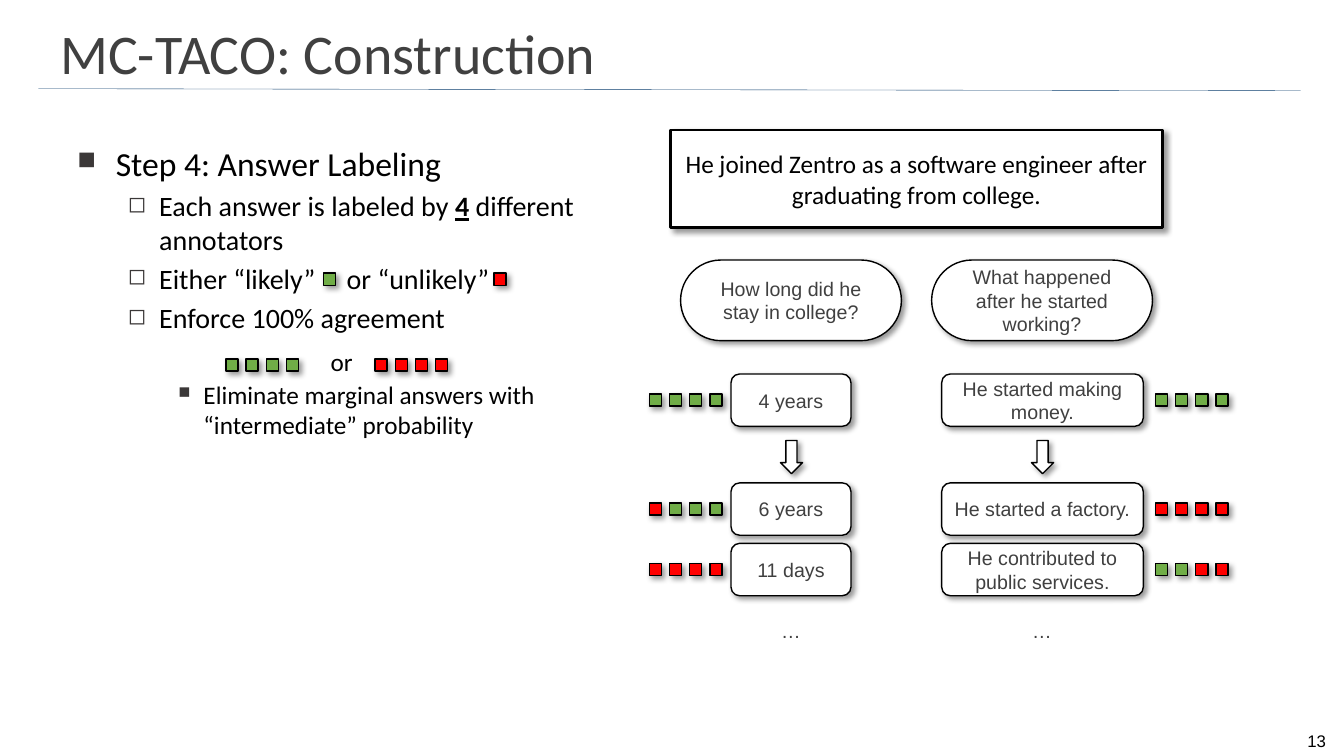
from dataclasses import dataclass

from lxml import etree
from pptx import Presentation
from pptx.dml.color import RGBColor
from pptx.enum.shapes import MSO_CONNECTOR, MSO_SHAPE
from pptx.enum.text import MSO_ANCHOR, PP_ALIGN
from pptx.oxml.ns import qn
from pptx.shapes.autoshape import Shape
from pptx.slide import Slide
from pptx.text.text import TextFrame
from pptx.util import Emu, Pt

STRAIGHT = MSO_CONNECTOR.STRAIGHT
RECT, ROUNDED = MSO_SHAPE.RECTANGLE, MSO_SHAPE.ROUNDED_RECTANGLE
DOWN_ARROW = MSO_SHAPE.DOWN_ARROW
TOP, MIDDLE, BOTTOM = MSO_ANCHOR.TOP, MSO_ANCHOR.MIDDLE, MSO_ANCHOR.BOTTOM
LEFT, CENTER = PP_ALIGN.LEFT, PP_ALIGN.CENTER
PX = 9144  # 100 px to the inch


@dataclass(frozen=True)
class Theme:
    black: str = "000000"
    white: str = "FFFFFF"
    grey: str = "404040"
    bullet: str = "3B3838"
    rule: str = "093D6E"
    likely: str = "70AD47"
    unlikely: str = "FF0000"
    heading_font: str = "Calibri"
    label_font: str = "Arial"
    title: int = 40
    step: int = 24
    detail: int = 20
    note: int = 18
    label: int = 14
    number: int = 12


THEME = Theme()


@dataclass(frozen=True)
class Area:
    left: int
    top: int
    width: int
    height: int

    def emu(self) -> tuple[Emu, ...]:
        return tuple(Emu(n * PX) for n in (self.left, self.top, self.width, self.height))


@dataclass(frozen=True)
class Style:
    size: int
    font: str = THEME.heading_font
    color: str = THEME.black
    align: PP_ALIGN = LEFT
    anchor: MSO_ANCHOR = TOP


@dataclass(frozen=True)
class Bullet:
    spans: tuple[str, ...]  # every second span is bold and underlined
    level: int
    size: int
    mark: str
    mark_percent: int
    margin: int
    hanging: int
    before: int = 4
    tab: int = 0


@dataclass(frozen=True)
class Answer:
    text: str
    votes: str  # L for likely, U for unlikely
    top: int


@dataclass(frozen=True)
class Column:
    center: int
    question: str
    answer_width: int
    votes_left: int
    answers: tuple[Answer, ...]


TITLE = Style(THEME.title, color=THEME.grey, anchor=MIDDLE)
CONTEXT = Style(THEME.note, align=CENTER, anchor=MIDDLE)
LABEL = Style(THEME.label, THEME.label_font, THEME.grey, CENTER, MIDDLE)
NUMBER = Style(THEME.number, THEME.label_font, THEME.black, CENTER, BOTTOM)

BULLETS = (
    Bullet(("Step 4: Answer Labeling",), 0, THEME.step, "■", 75, 38, 38, before=0),
    Bullet(("Each answer is labeled by ", "4", " different annotators"),
           1, THEME.detail, "◻", 80, 81, 31),
    Bullet(("Either “likely”\tor “unlikely”",), 1, THEME.detail, "◻", 80, 81, 31, tab=267),
    Bullet(("Enforce 100% agreement",), 1, THEME.detail, "◻", 80, 81, 31),
    Bullet(("Eliminate marginal answers with “intermediate” probability",),
           2, THEME.note, "■", 65, 125, 25, before=32),
)

COLUMNS = (
    Column(785, "How long did he stay in college?", 119, 644, (
        Answer("4 years", "LLLL", 371),
        Answer("6 years", "ULLL", 479),
        Answer("11 days", "UUUU", 539))),
    Column(1034, "What happened after he started working?", 200, 1146, (
        Answer("He started making money.", "LLLL", 371),
        Answer("He started a factory.", "UUUU", 479),
        Answer("He contributed to public services.", "LLUU", 539))),
)


def rgb(color: str) -> RGBColor:
    return RGBColor.from_string(color)


def centered(center: int, top: int, width: int, height: int) -> Area:
    return Area(center - (width + 1) // 2, top, width, height)


def style_frame(frame: TextFrame, style: Style) -> None:
    frame.vertical_anchor = style.anchor
    for para in frame.paragraphs:
        para.alignment = style.align
        for span in para.runs:
            span.font.size = Pt(style.size)
            span.font.name = style.font
            span.font.color.rgb = rgb(style.color)


def add_text(page: Slide, area: Area, text: str, style: Style) -> None:
    frame = page.shapes.add_textbox(*area.emu()).text_frame
    frame.word_wrap = True
    frame.text = text
    style_frame(frame, style)


def add_shadow(shape: Shape) -> None:
    shape.shadow.inherit = False
    effects = shape._element.spPr.find(qn("a:effectLst"))
    shadow = etree.SubElement(effects, qn("a:outerShdw"), blurRad=str(Pt(4)),
                              dist=str(Pt(3)), dir="2700000", algn="tl", rotWithShape="0")
    color = etree.SubElement(shadow, qn("a:srgbClr"), val=THEME.black)
    etree.SubElement(color, qn("a:alpha"), val="40000")


def add_block(page: Slide, kind: MSO_SHAPE, area: Area, fill: str = THEME.white,
              text: str = "", style: Style = LABEL, line: int = 1) -> Shape:
    block = page.shapes.add_shape(kind, *area.emu())
    block.fill.solid()
    block.fill.fore_color.rgb = rgb(fill)
    block.line.color.rgb = rgb(THEME.black)
    block.line.width = Pt(line)
    add_shadow(block)
    if text:
        block.text_frame.text = text
        style_frame(block.text_frame, style)
    return block


def add_votes(page: Slide, left: int, top: int, votes: str) -> None:
    for index, vote in enumerate(votes):
        fill = THEME.likely if vote == "L" else THEME.unlikely
        add_block(page, RECT, Area(left + 20 * index, top, 12, 12), fill)


def add_bullets(page: Slide, area: Area, bullets: tuple[Bullet, ...]) -> None:
    frame = page.shapes.add_textbox(*area.emu()).text_frame
    frame.word_wrap = True
    for index, bullet in enumerate(bullets):
        para = frame.add_paragraph() if index else frame.paragraphs[0]
        para.level = bullet.level
        para.space_before = Pt(bullet.before)
        props = para._p.get_or_add_pPr()
        props.set("marL", str(bullet.margin * PX))
        props.set("indent", str(-bullet.hanging * PX))
        color = etree.SubElement(props, qn("a:buClr"))
        etree.SubElement(color, qn("a:srgbClr"), val=THEME.bullet)
        etree.SubElement(props, qn("a:buSzPct"), val=str(bullet.mark_percent * 1000))
        etree.SubElement(props, qn("a:buChar"), char=bullet.mark)
        if bullet.tab:
            tabs = etree.SubElement(props, qn("a:tabLst"))
            etree.SubElement(tabs, qn("a:tab"), pos=str(bullet.tab * PX), algn="l")
        for position, text in enumerate(bullet.spans):
            span = para.add_run()
            span.text = text
            span.font.size = Pt(bullet.size)
            span.font.name = THEME.heading_font
            span.font.color.rgb = rgb(THEME.black)
            if position % 2:
                span.font.bold = span.font.underline = True


def add_column(page: Slide, column: Column) -> None:
    pill = add_block(page, ROUNDED, centered(column.center, 258, 219, 80), text=column.question)
    pill.adjustments[0] = 0.5
    for answer in column.answers:
        area = centered(column.center, answer.top, column.answer_width, 52)
        add_block(page, ROUNDED, area, text=answer.text)
        add_votes(page, column.votes_left, answer.top + 20, answer.votes)
    add_block(page, DOWN_ARROW, centered(column.center, 437, 22, 33))
    add_text(page, centered(column.center, 600, 119, 52), "…", LABEL)


def main() -> None:
    deck = Presentation()
    deck.slide_width, deck.slide_height = Emu(1333 * PX), Emu(750 * PX)
    page = deck.slides.add_slide(deck.slide_layouts[6])

    # Title, rule and page number
    rule = page.shapes.add_connector(STRAIGHT, *(Emu(n * PX) for n in (38, 88, 1290, 90)))
    rule.line.color.rgb = rgb(THEME.rule)
    rule.line.width = Pt(0.25)
    etree.SubElement(rule._element.spPr, qn("a:effectLst"))
    add_text(page, Area(50, 23, 1081, 58), "MC-TACO: Construction", TITLE)
    add_text(page, Area(1278, 725, 56, 25), "13", NUMBER)

    # Labeling rules with their vote marks
    add_bullets(page, Area(67, 137, 533, 490), BULLETS)
    add_votes(page, 321, 271, "L")
    add_votes(page, 490, 271, "U")
    add_votes(page, 224, 356, "LLLL")
    add_votes(page, 372, 356, "UUUU")
    add_text(page, Area(318, 339, 44, 40), "or", Style(THEME.note))

    # Context sentence, questions and labeled answers
    add_block(page, RECT, Area(665, 129, 488, 97), style=CONTEXT, line=2,
              text="He joined Zentro as a software engineer after graduating from college.")
    for column in COLUMNS:
        add_column(page, column)

    deck.save("out.pptx")


if __name__ == "__main__":
    main()
